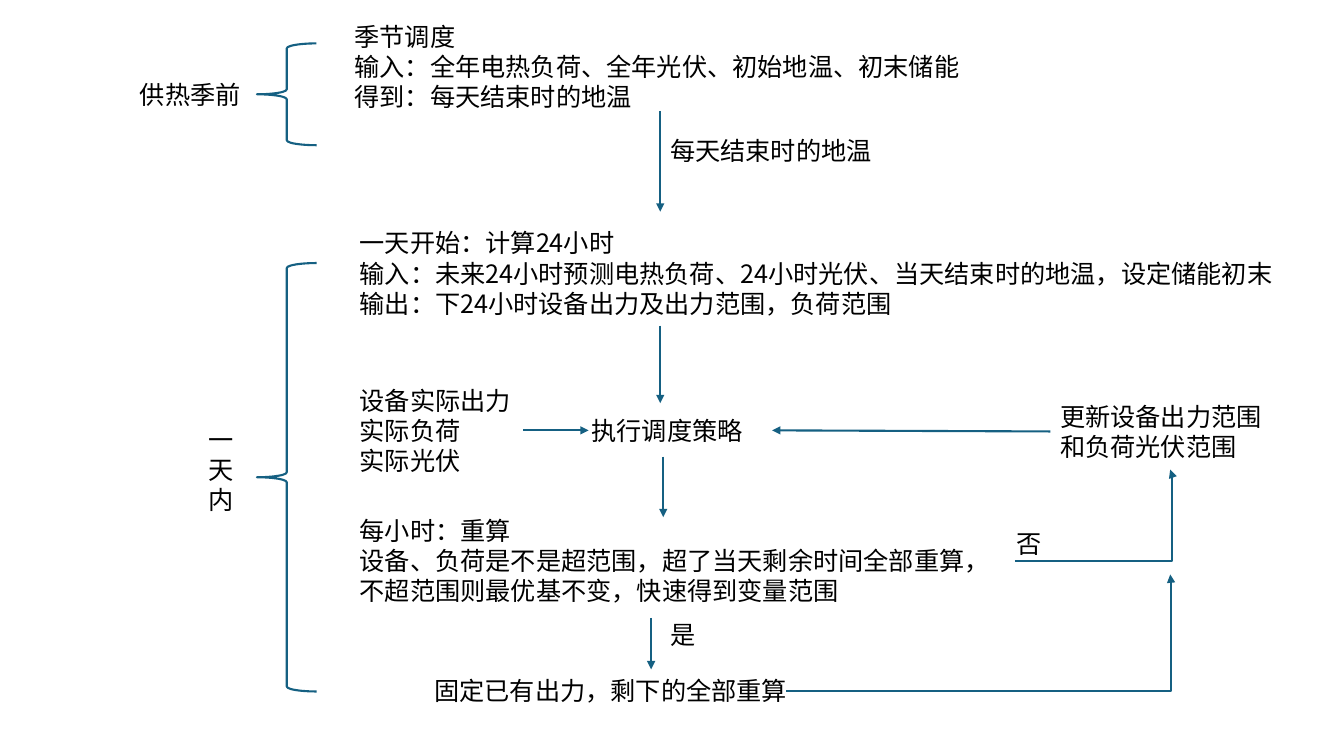
from lxml.etree import SubElement
from pptx import Presentation
from pptx.dml.color import RGBColor
from pptx.enum.shapes import MSO_CONNECTOR, MSO_SHAPE
from pptx.enum.text import MSO_AUTO_SIZE
from pptx.oxml.ns import qn
from pptx.util import Pt

BLACK = RGBColor(0x00, 0x00, 0x00)
TEAL = RGBColor(0x15, 0x60, 0x82)
FONT = "Noto Sans CJK SC"
TEXT_FORMAT = {"name": FONT, "size": Pt(18)}
LINE_FORMAT = {"width": Pt(1.5)}
PADDING = 7.2
LINE_HEIGHT = 21.8

STEPS = [
    (246.2, 11.5, 450.7, False,
     ["季节调度", "输入：全年电热负荷、全年光伏、初始地温、初末储能", "得到：每天结束时的地温"]),
    (249.8, 159.1, 671, True,
     ["一天开始：计算24小时",
      "输入：未来24小时预测电热负荷、24小时光伏、当天结束时的地温，设定储能初末",
      "输出：下24小时设备出力及出力范围，负荷范围"]),
    (249.8, 271.4, 123.8, False, ["设备实际出力", "实际负荷", "实际光伏"]),
    (415.4, 293, 123.8, False, ["执行调度策略"]),
    (249.8, 364.3, 468.7, False,
     ["每小时：重算", "设备、负荷是不是超范围，超了当天剩余时间全部重算，",
      "不超范围则最优基不变，快速得到变量范围"]),
    (303.1, 478.8, 269.3, False, ["固定已有出力，剩下的全部重算"]),
    (750.2, 283, 159.8, False, ["更新设备出力范围", "和负荷光伏范围"]),
]
LABELS = [
    (471.6, 92.9, 159.8, False, ["每天结束时的地温"]),
    (471.6, 438.5, 32.4, False, ["是"]),
    (719.3, 373.7, 34.6, True, ["否"]),
    (92.9, 53.3, 87.1, False, ["供热季前"]),
    (141.8, 299.5, 31.7, True, ["一天内"]),
]
ARROWS = [
    (471.6, 79.2, 471.6, 151.2),
    (471.6, 232.6, 471.6, 288),
    (473.8, 326.2, 473.8, 369.4),
    (373.7, 307.4, 420.5, 307.4),
    (465.1, 441.4, 465.1, 478.1),
    (750.2, 308.2, 551.5, 307.4),
]
ELBOWS = [
    (561.6, 493.9, 835.9, 410.4, 100200),
    (725, 401, 835.9, 335.5, 101400),
]
BRACES = [(31, 72.7), (187.9, 306)]


class FlowPage:
    def __init__(self, page):
        self.shapes = page.shapes

    def apply(self, target, values):
        for name, value in values.items():
            setattr(target, name, value)

    def style_line(self, line):
        line.color.rgb = TEAL
        self.apply(line, LINE_FORMAT)

    def text(self, left, top, width, wrap, lines):
        height = PADDING + LINE_HEIGHT * len(lines)
        box = self.shapes.add_textbox(Pt(left), Pt(top), Pt(width), Pt(height))
        frame = box.text_frame
        self.apply(frame, {"word_wrap": wrap, "auto_size": MSO_AUTO_SIZE.SHAPE_TO_FIT_TEXT})
        frame.text = "\n".join(lines)
        for para in frame.paragraphs:
            for span in para.runs:
                self.apply(span.font, TEXT_FORMAT)
                span.font.color.rgb = BLACK
                SubElement(span.font._element, qn("a:ea"), typeface=FONT)

    def arrow(self, start_x, start_y, end_x, end_y, bend=None):
        kind = MSO_CONNECTOR.ELBOW if bend else MSO_CONNECTOR.STRAIGHT
        arrow = self.shapes.add_connector(kind, Pt(start_x), Pt(start_y), Pt(end_x), Pt(end_y))
        self.style_line(arrow.line)
        properties = arrow._element.spPr
        SubElement(properties.find(qn("a:ln")), qn("a:tailEnd"), type="triangle")
        SubElement(properties, qn("a:effectLst"))
        if bend:
            guides = properties.find(qn("a:prstGeom")).find(qn("a:avLst"))
            SubElement(guides, qn("a:gd"), name="adj1", fmla=f"val {bend}")

    def brace(self, top, height):
        brace = self.shapes.add_shape(
            MSO_SHAPE.LEFT_BRACE, Pt(183.6), Pt(top), Pt(42.5), Pt(height))
        brace.shadow.inherit = False
        brace.fill.background()
        self.style_line(brace.line)


def main():
    deck = Presentation()
    deck.slide_width, deck.slide_height = Pt(960), Pt(540)
    flow = FlowPage(deck.slides.add_slide(deck.slide_layouts[6]))
    for entry in STEPS + LABELS:
        flow.text(*entry)
    for ends in ARROWS + ELBOWS:
        flow.arrow(*ends)
    for span in BRACES:
        flow.brace(*span)
    deck.save("out.pptx")


if __name__ == "__main__":
    main()
